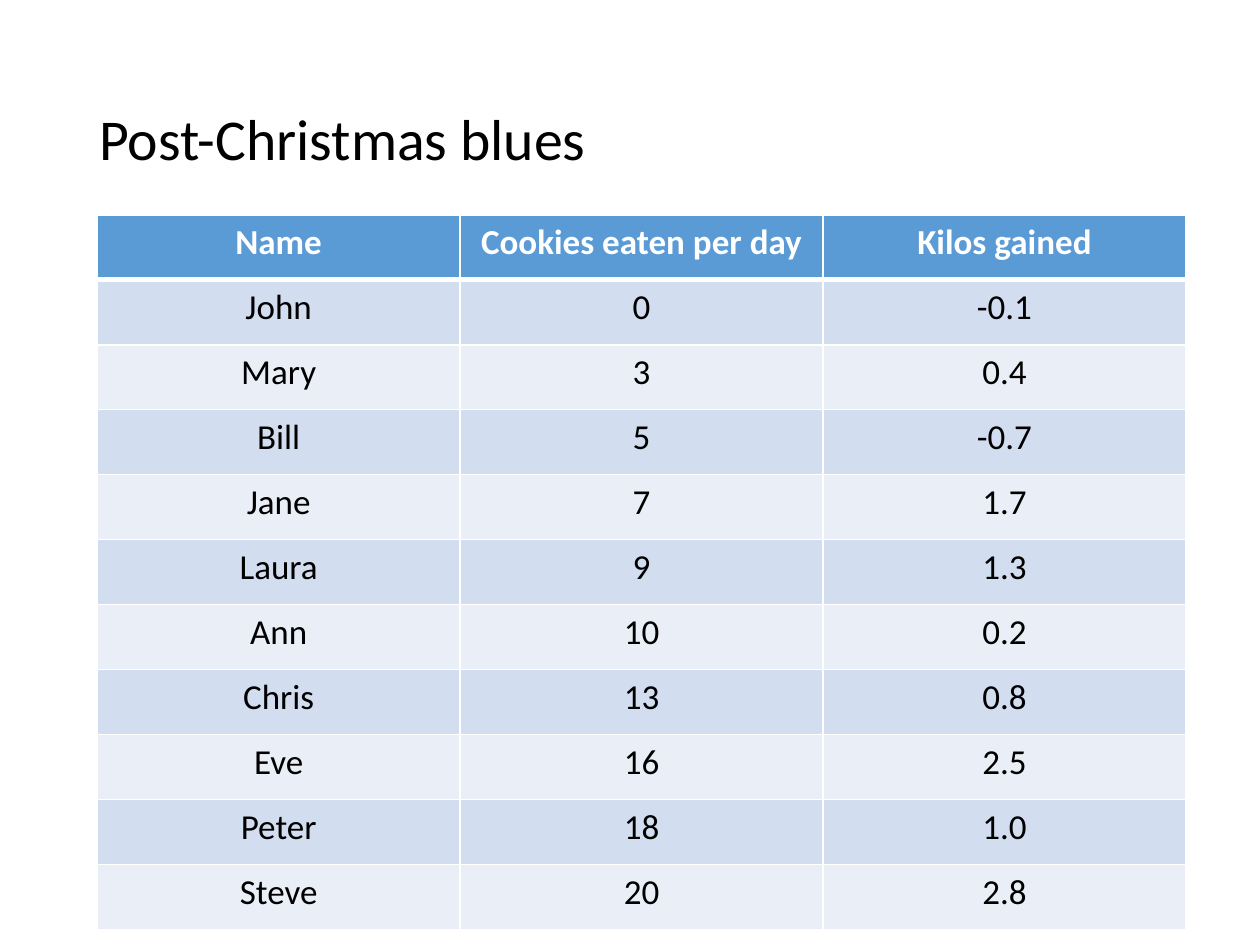
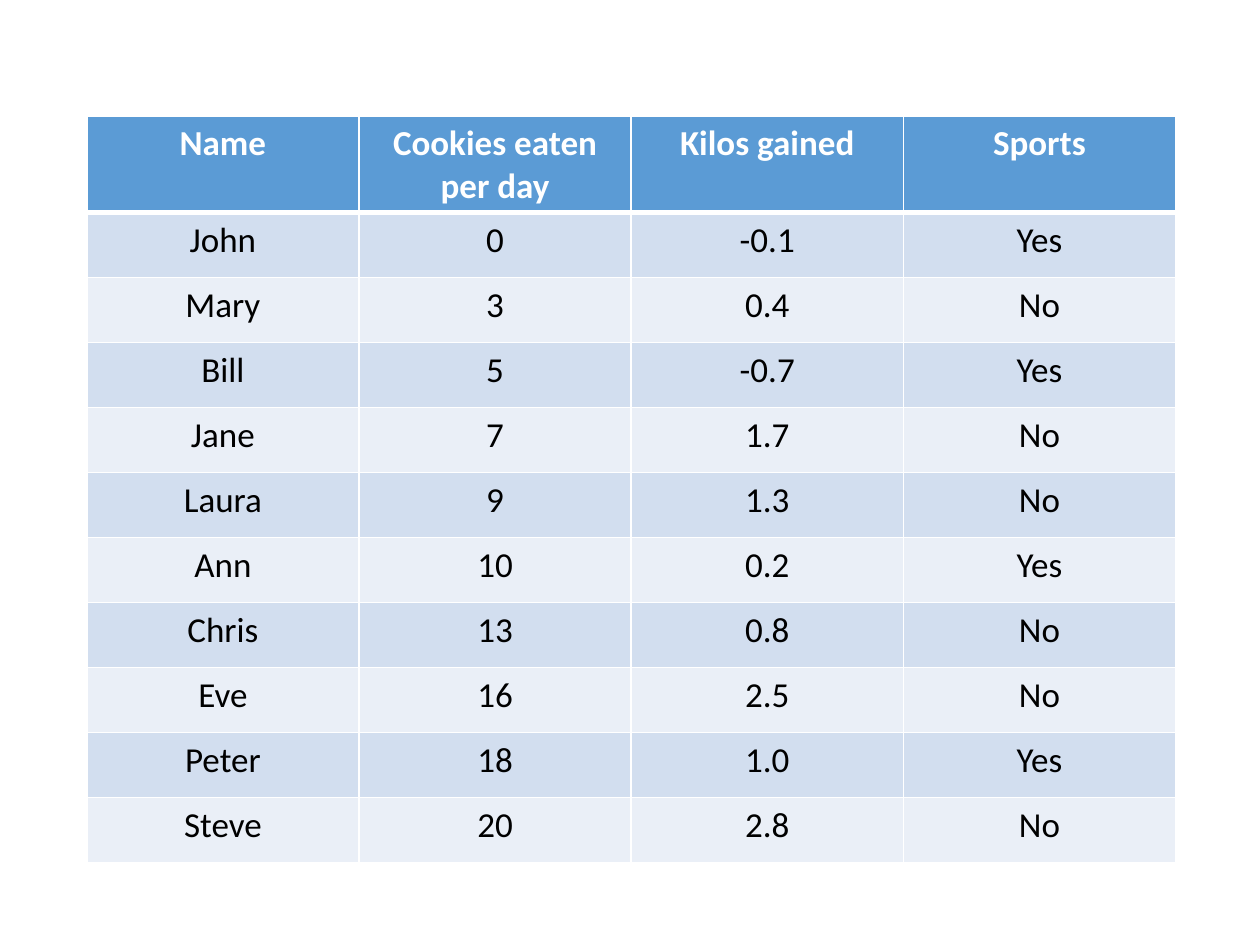
"""Build two slides with tables of cookies eaten and kilos gained."""
from lxml.etree import SubElement
from pptx import Presentation
from pptx.dml.color import RGBColor
from pptx.enum.text import MSO_ANCHOR, PP_ALIGN
from pptx.oxml.ns import qn
from pptx.util import Cm, Pt

FONT = "Calibri"
WHITE, BLACK = "FFFFFF", "000000"
HEADER_FILL = "5B9BD5"
BANDS = ("D2DEEF", "EAEFF7")
TABLE_WIDTH, ROW_HEIGHT = 21.95, 1.31
THIN, THICK = 1, 3

TITLE = "Post-Christmas blues"
HEADINGS = ("Name", "Cookies eaten per day", "Kilos gained", "Sports")
PEOPLE = [
    ("John", "0", "-0.1", "Yes"),
    ("Mary", "3", "0.4", "No"),
    ("Bill", "5", "-0.7", "Yes"),
    ("Jane", "7", "1.7", "No"),
    ("Laura", "9", "1.3", "No"),
    ("Ann", "10", "0.2", "Yes"),
    ("Chris", "13", "0.8", "No"),
    ("Eve", "16", "2.5", "No"),
    ("Peter", "18", "1.0", "Yes"),
    ("Steve", "20", "2.8", "No"),
]
SLIDES = [
    {"title": TITLE, "columns": 3, "left": 1.96, "top": 4.33},
    {"title": None, "columns": 4, "left": 1.75, "top": 2.34},
]


def color(hex_code):
    return RGBColor.from_string(hex_code)


def write(paragraph, words, size, hex_code, bold=False):
    run = paragraph.add_run()
    run.text = words
    run.font.name = FONT
    run.font.size = Pt(size)
    run.font.bold = bold
    run.font.color.rgb = color(hex_code)


def add_title(slide, words):
    frame = slide.shapes.add_textbox(Cm(1.75), Cm(1.01), Cm(21.9), Cm(3.68)).text_frame
    frame.word_wrap = True
    frame.vertical_anchor = MSO_ANCHOR.MIDDLE
    heading = frame.paragraphs[0]
    heading.line_spacing = 0.9
    write(heading, words, 33, BLACK)


def set_borders(cell, top, bottom):
    properties = cell._tc.get_or_add_tcPr()
    for side, points in (("L", THIN), ("R", THIN), ("T", top), ("B", bottom)):
        line = SubElement(properties, qn(f"a:ln{side}"), w=str(Pt(points)))
        SubElement(SubElement(line, qn("a:solidFill")), qn("a:srgbClr"), val=WHITE)


def add_results(slide, columns, left, top):
    rows = [HEADINGS, *PEOPLE]
    results = slide.shapes.add_table(
        len(rows), columns, Cm(left), Cm(top),
        Cm(TABLE_WIDTH), Cm(ROW_HEIGHT * len(rows))).table
    for column in results.columns:
        column.width = Cm(TABLE_WIDTH / columns)
    for r, row in enumerate(rows):
        results.rows[r].height = Cm(ROW_HEIGHT)
        header = r == 0
        for c, words in enumerate(row[:columns]):
            cell = results.cell(r, c)
            set_borders(cell, THICK if r == 1 else THIN, THICK if header else THIN)
            cell.fill.solid()
            cell.fill.fore_color.rgb = color(HEADER_FILL if header else BANDS[(r - 1) % 2])
            paragraph = cell.text_frame.paragraphs[0]
            paragraph.alignment = PP_ALIGN.CENTER
            write(paragraph, words, 20, WHITE if header else BLACK, header)


deck = Presentation()
deck.slide_width, deck.slide_height = Cm(25.4), Cm(19.05)
for content in SLIDES:
    slide = deck.slides.add_slide(deck.slide_layouts[6])
    if content["title"]:
        add_title(slide, content["title"])
    add_results(slide, content["columns"], content["left"], content["top"])
deck.save("out.pptx")
